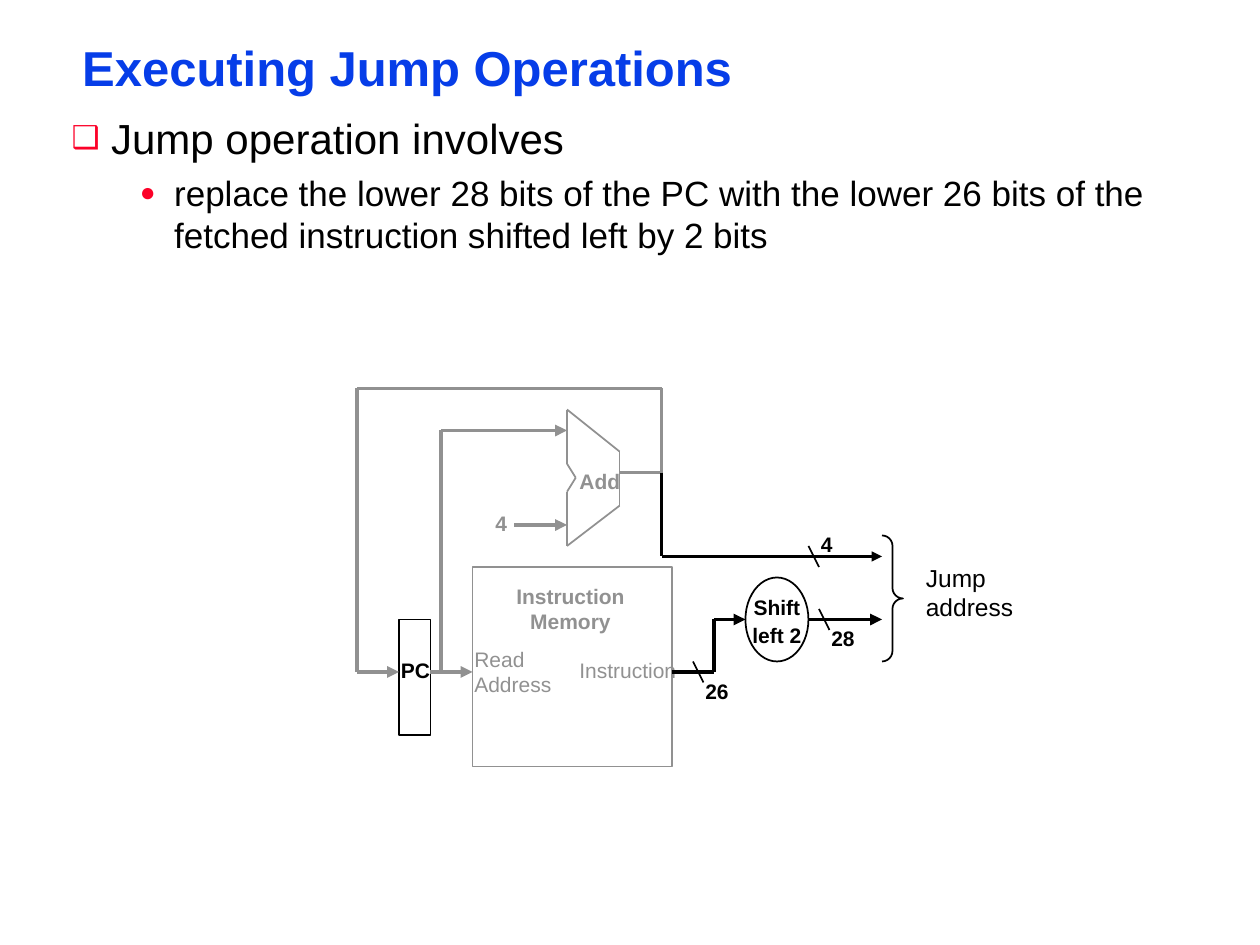
from itertools import pairwise

from lxml import etree
from pptx import Presentation
from pptx.dml import color
from pptx.enum import shapes, text
from pptx.oxml import ns
from pptx.util import Pt

BLACK, GRAY, BLUE, RED = "000000", "919191", "063DE8", "FC0128"
CENTER = text.PP_ALIGN.CENTER


def rgb(value):
    return color.RGBColor.from_string(value)


def place(shape, left, top, width, height):
    shape.left, shape.top = Pt(left), Pt(top)
    shape.width, shape.height = Pt(width), Pt(height)


def write(paragraph, content, size=12, fill=BLACK, bold=False, align=None,
          line_spacing=None, before=0):
    paragraph.text = content
    paragraph.alignment = align
    paragraph.line_spacing = line_spacing
    paragraph.space_before = Pt(before)
    paragraph.font.name = "Arial"
    paragraph.font.size = Pt(size)
    paragraph.font.bold = bold
    paragraph.font.color.rgb = rgb(fill)


def set_frame(shape, horizontal, vertical, wrap=True):
    frame = shape.text_frame
    frame.word_wrap = wrap
    frame.auto_size = text.MSO_AUTO_SIZE.NONE
    frame.margin_left = frame.margin_right = Pt(horizontal)
    frame.margin_top = frame.margin_bottom = Pt(vertical)
    return frame


def add_bullet(paragraph, symbol, margin, indent):
    properties = paragraph._p.get_or_add_pPr()
    properties.set("marL", str(Pt(margin)))
    properties.set("indent", str(Pt(-indent)))
    bullet_color = etree.SubElement(properties, ns.qn("a:buClr"))
    etree.SubElement(bullet_color, ns.qn("a:srgbClr"), val=RED)
    etree.SubElement(properties, ns.qn("a:buSzPct"), val="75000")
    etree.SubElement(properties, ns.qn("a:buFont"), typeface="Arial")
    etree.SubElement(properties, ns.qn("a:buChar"), char=symbol)


def add_title(slide, content):
    title = slide.shapes.title
    place(title, 42, 24, 642, 33)
    frame = set_frame(title, 5, 2)
    write(frame.paragraphs[0], content, size=28, fill=BLUE, bold=True,
          align=text.PP_ALIGN.LEFT, line_spacing=0.87)


def add_body(slide, operation, detail):
    body = slide.placeholders[1]
    place(body, 36, 62, 642, 86)
    frame = set_frame(body, 5, 2)
    first, second = frame.paragraphs[0], frame.add_paragraph()
    second.level = 1
    add_bullet(first, "❑", 22.5, 22.5)
    add_bullet(second, "●", 58.5, 19.5)
    write(first, operation, size=24)
    write(second, detail, size=20, before=5)


def add_label(slide, lines, left, top, width, height, inset=(7.2, 3.6), **style):
    box = slide.shapes.add_textbox(Pt(left), Pt(top), Pt(width), Pt(height))
    frame = set_frame(box, *inset, wrap=False)
    for index, line in enumerate(lines):
        paragraph = frame.add_paragraph() if index else frame.paragraphs[0]
        write(paragraph, line, **style)


def add_route(slide, points, stroke=BLACK, width=2.25, arrow=True):
    for start, end in pairwise(points):
        connector = slide.shapes.add_connector(
            shapes.MSO_CONNECTOR.STRAIGHT, *map(Pt, start + end))
        connector.line.color.rgb = rgb(stroke)
        connector.line.width = Pt(width)
        etree.SubElement(connector._element.spPr, ns.qn("a:effectLst"))
    if arrow:
        line = connector.line._get_or_add_ln()
        etree.SubElement(line, ns.qn("a:tailEnd"), type="triangle")


def add_outline(slide, kind, left, top, width, height, stroke=BLACK):
    shape = slide.shapes.add_shape(kind, Pt(left), Pt(top), Pt(width), Pt(height))
    shape.shadow.inherit = False
    shape.fill.background()
    shape.line.color.rgb = rgb(stroke)
    shape.line.width = Pt(1)
    return shape


def add_fetch_path(slide):
    adder = [(324, 234), (354, 258), (354, 289), (324, 312),
             (324, 281), (329, 273), (324, 265), (324, 234)]
    add_route(slide, adder, GRAY, 1, arrow=False)
    add_outline(slide, shapes.MSO_SHAPE.RECTANGLE, 270, 324, 114, 114, GRAY)
    add_outline(slide, shapes.MSO_SHAPE.RECTANGLE, 228, 354, 18, 66)
    for points in (
        [(246, 384), (270, 384)],
        [(252, 384), (252, 246), (324, 246)],
        [(294, 300), (324, 300)],
        [(354, 270), (378, 270), (378, 222), (204, 222), (204, 384), (228, 384)],
    ):
        add_route(slide, points, GRAY)
    add_label(slide, ["Read", "Address"], 264, 366, 58, 36, fill=GRAY)
    add_label(slide, ["Instruction"], 324, 372, 70, 22, fill=GRAY)
    add_label(slide, ["Instruction", "Memory"], 288, 330, 76, 36,
              fill=GRAY, bold=True, align=CENTER)
    add_label(slide, ["Add"], 324, 264, 38, 22, fill=GRAY, bold=True)
    add_label(slide, ["4"], 276, 288, 21, 22, fill=GRAY, bold=True)
    add_label(slide, ["PC"], 222, 372, 31, 22, bold=True)


def add_jump_path(slide):
    add_outline(slide, shapes.MSO_SHAPE.OVAL, 426, 330, 36, 48)
    add_label(slide, ["Shift", "left 2"], 426, 336, 36, 36, inset=(1.5, 2),
              bold=True, align=CENTER, line_spacing=Pt(16))
    add_route(slide, [(384, 384), (408, 384), (408, 354), (426, 354)])
    add_route(slide, [(462, 354), (504, 354)])
    add_route(slide, [(378, 270), (378, 318), (504, 318)], width=1.5)
    for bits, x, y, label_left, label_top, label_width in (
        ("26", 396, 378, 396, 384, 28),
        ("4", 462, 312, 462, 300, 21),
        ("28", 468, 348, 468, 354, 28),
    ):
        add_route(slide, [(x, y), (x + 6, y + 12)], width=1, arrow=False)
        add_label(slide, [bits], label_left, label_top, label_width, 22, bold=True)
    brace = add_outline(slide, shapes.MSO_SHAPE.RIGHT_BRACE, 504, 306, 12, 72)
    brace.adjustments[0] = brace.adjustments[1] = 0.5
    add_label(slide, ["Jump", "address"], 522, 318, 64, 41, size=14)


def main():
    presentation = Presentation()
    presentation.slide_width, presentation.slide_height = Pt(720), Pt(540)
    slide = presentation.slides.add_slide(presentation.slide_layouts[1])
    add_title(slide, "Executing Jump Operations")
    add_body(slide, "Jump operation involves",
             "replace the lower 28 bits of the PC with the lower 26 bits of the "
             "fetched instruction shifted left by 2 bits")
    add_fetch_path(slide)
    add_jump_path(slide)
    presentation.save("out.pptx")


if __name__ == "__main__":
    main()
